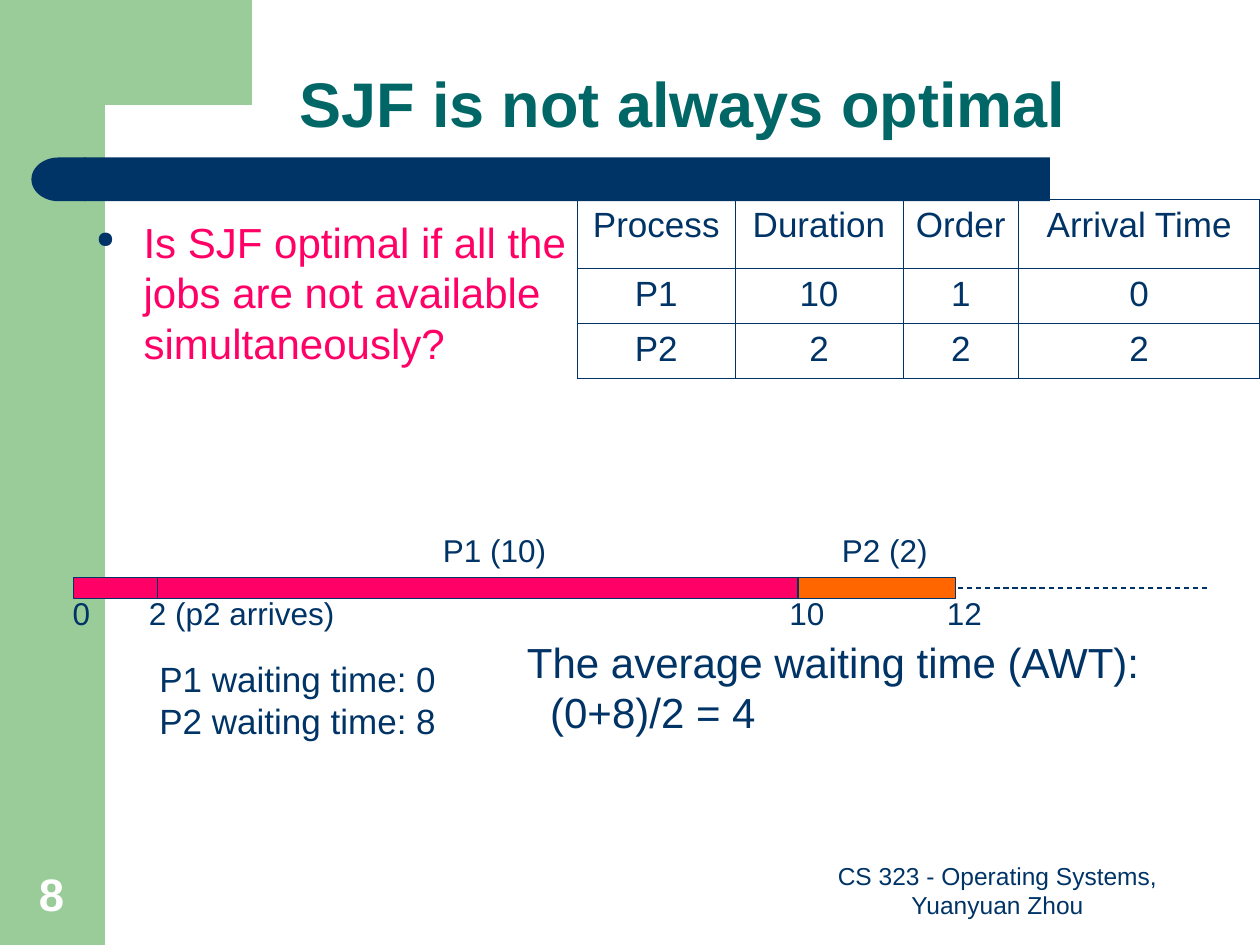
from lxml.etree import SubElement
from pptx import Presentation
from pptx.dml.color import RGBColor
from pptx.enum.dml import MSO_LINE
from pptx.enum.shapes import MSO_CONNECTOR, MSO_SHAPE
from pptx.enum.text import MSO_ANCHOR, PP_ALIGN
from pptx.oxml.ns import qn
from pptx.util import Pt

COLORS = {"navy": "003366", "green": "99CC99", "teal": "006666",
          "pink": "FF0066", "orange": "FF6600", "white": "FFFFFF"}


def rgb(name):
    return RGBColor.from_string(COLORS[name])


class SlideBuilder:
    font = "Arial"
    thin, thick = 0.45, 1.08

    def __init__(self, slide):
        self.slide = slide
        self.shapes = slide.shapes

    def finish(self, sp, fill, line=None):
        sp.shadow.inherit = False
        sp.fill.solid()
        sp.fill.fore_color.rgb = rgb(fill)
        if line:
            sp.line.color.rgb = rgb(line)
            sp.line.width = Pt(0.75)
        else:
            sp.line.fill.background()
        return sp

    def shape(self, kind, x, y, w, h, fill, line=None):
        sp = self.shapes.add_shape(kind, Pt(x), Pt(y), Pt(w), Pt(h))
        return self.finish(sp, fill, line)

    def outline(self, points, fill):
        builder = self.shapes.build_freeform(*points[0], scale=Pt(1))
        builder.add_line_segments(points[1:], close=True)
        return self.finish(builder.convert_to_shape(), fill)

    def line(self, x1, y1, x2, y2, dash=None):
        cxn = self.shapes.add_connector(MSO_CONNECTOR.STRAIGHT, Pt(x1), Pt(y1), Pt(x2), Pt(y2))
        cxn.line.color.rgb = rgb("navy")
        cxn.line.width = Pt(0.75)
        if dash:
            cxn.line.dash_style = dash
        SubElement(cxn._element.spPr, qn("a:effectLst"))
        return cxn

    def style(self, p, size, color="navy", bold=False, align=PP_ALIGN.LEFT):
        p.alignment = align
        p.font.name = self.font
        p.font.size = Pt(size)
        p.font.bold = bold
        p.font.color.rgb = rgb(color)

    def text(self, x, y, w, h, lines, size, color="navy", bold=False,
             align=PP_ALIGN.LEFT, anchor=MSO_ANCHOR.TOP, wrap=True):
        tf = self.shapes.add_textbox(Pt(x), Pt(y), Pt(w), Pt(h)).text_frame
        tf.word_wrap = wrap
        tf.vertical_anchor = anchor
        for i, line in enumerate(lines):
            p = tf.add_paragraph() if i else tf.paragraphs[0]
            p.text = line
            self.style(p, size, color, bold, align)
        return tf

    def bullet(self, p, indent, color):
        pPr = p._p.get_or_add_pPr()
        pPr.set("marL", str(Pt(indent)))
        pPr.set("indent", str(-Pt(indent)))
        p.space_before = Pt(6)
        clr = pPr.makeelement(qn("a:buClr"))
        SubElement(clr, qn("a:srgbClr"), val=COLORS[color])
        size = pPr.makeelement(qn("a:buSzPct"), {"val": "55000"})
        char = pPr.makeelement(qn("a:buChar"), {"char": "●"})
        default_font = pPr.find(qn("a:defRPr"))
        for el in (clr, size, char):
            default_font.addprevious(el)

    def borders(self, cell, widths):
        tcPr = cell._tc.get_or_add_tcPr()
        for side, width in zip("LRTB", widths):
            ln = SubElement(tcPr, qn("a:ln" + side), w=str(Pt(width)))
            fill = SubElement(ln, qn("a:solidFill"))
            SubElement(fill, qn("a:srgbClr"), val=COLORS["navy"])

    def table(self, x, y, widths, heights, rows):
        n_rows, n_cols = len(heights), len(widths)
        table = self.shapes.add_table(n_rows, n_cols, Pt(x), Pt(y),
                                      Pt(sum(widths)), Pt(sum(heights))).table
        table.first_row = table.horz_banding = False
        for col, width in zip(table.columns, widths):
            col.width = Pt(width)
        for i, (row, height) in enumerate(zip(table.rows, heights)):
            row.height = Pt(height)
            for j, cell in enumerate(row.cells):
                outer = (j == 0, j == n_cols - 1, i == 0, i == n_rows - 1)
                self.borders(cell, [self.thick if edge else self.thin for edge in outer])
                cell.fill.background()
                p = cell.text_frame.paragraphs[0]
                p.text = rows[i][j]
                p.space_before = Pt(5)
                self.style(p, 20, align=PP_ALIGN.CENTER)


def main():
    prs = Presentation()
    prs.slide_width, prs.slide_height = Pt(720), Pt(540)
    s = SlideBuilder(prs.slides.add_slide(prs.slide_layouts[6]))

    # Side band, corner and title rule
    s.shape(MSO_SHAPE.RECTANGLE, 0, 0, 60, 540, "green")
    s.outline([(36, 0), (144, 0), (144, 60), (58, 60), (55, 61.5), (51, 66),
               (49, 75), (48, 84), (48, 92), (36, 92)], "green")
    s.shape(MSO_SHAPE.RECTANGLE, 48, 90, 552, 25, "navy")
    cap = s.shape(MSO_SHAPE.FLOWCHART_DELAY, 18, 90, 31, 25, "navy")
    cap._element.spPr.find(qn("a:xfrm")).set("flipH", "1")

    # Title and question
    title = s.text(83.5, 6, 613, 78, ["SJF is not always optimal"], 36, "teal", True,
                   PP_ALIGN.CENTER, MSO_ANCHOR.BOTTOM)
    title.paragraphs[0].line_spacing = 0.9
    question = s.text(48, 120, 297, 126, ["Is SJF optimal if all the jobs are not "
                                          "available simultaneously?"], 24, "pink")
    s.bullet(question.paragraphs[0], 27, "navy")

    # Process table
    s.table(330, 114, [90, 96, 66, 138], [39.5, 31.4, 31.4],
            [["Process", "Duration", "Order", "Arrival Time"],
             ["P1", "10", "1", "0"],
             ["P2", "2", "2", "2"]])

    # Timeline
    bar_y, bar_h = 330, 12
    axis = s.line(42, 336, 690, 336, MSO_LINE.DASH)
    p1_bar = s.shape(MSO_SHAPE.RECTANGLE, 42, bar_y, 414, bar_h, "pink", "navy")
    s.shape(MSO_SHAPE.RECTANGLE, 456, bar_y, 90, bar_h, "orange", "navy")
    axis.begin_connect(p1_bar, 1)
    s.line(90, bar_y, 90, bar_y + bar_h)
    for x, y, w, label in [(246, 300, 73.5, "P1 (10)"), (474, 300, 63.5, "P2 (2)"),
                           (34.5, 336, 24.5, "0"), (78, 336, 150, "2 (p2 arrives)"),
                           (444, 336, 34.5, "10"), (534, 336, 34.5, "12")]:
        s.text(x, y, w, 29, [label], 18, wrap=False)

    # Waiting times
    s.text(84, 372, 180, 55.5, ["P1 waiting time: 0", "P2 waiting time: 8"], 20)
    average = s.text(294, 360, 372, 65, ["The average waiting time (AWT):",
                                         "(0+8)/2 = 4"], 24)
    average.paragraphs[1]._p.get_or_add_pPr().set("marL", str(Pt(13.3)))

    # Footer and slide number
    s.text(456, 491.5, 228, 37.5, ["CS 323 - Operating Systems, Yuanyuan Zhou"], 14,
           align=PP_ALIGN.CENTER, anchor=MSO_ANCHOR.BOTTOM)
    s.text(6.5, 491.5, 46, 38, ["8"], 26, "white", True, PP_ALIGN.CENTER, MSO_ANCHOR.BOTTOM)

    prs.save("out.pptx")


if __name__ == "__main__":
    main()
